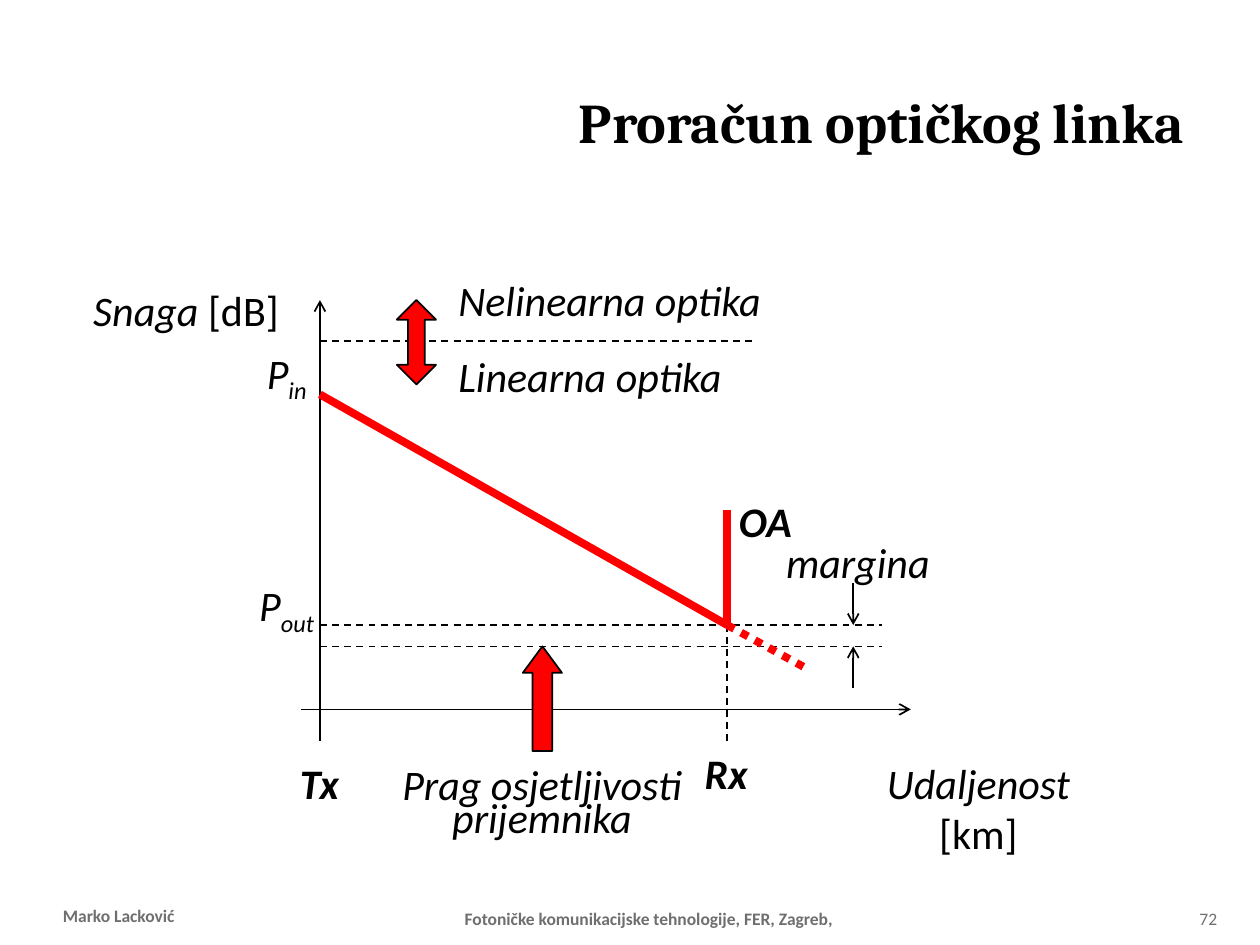
from dataclasses import dataclass

from lxml import etree
from pptx import Presentation
from pptx.dml.color import RGBColor
from pptx.enum import dml, shapes, text
from pptx.oxml import ns
from pptx.util import Cm, Pt


@dataclass(frozen=True)
class Theme:
    ink: RGBColor = RGBColor(0, 0, 0)
    signal: RGBColor = RGBColor(0xFF, 0, 0)
    muted: RGBColor = RGBColor(0x6F, 0x6F, 0x6F)
    heading: str = "Cambria"
    body: str = "Calibri"
    title_size: int = 32
    label_size: int = 24
    footer_size: int = 10
    thin: float = 1
    thick: float = 4.5


T = Theme()
LEFT, CENTER, RIGHT = (text.PP_ALIGN.LEFT, text.PP_ALIGN.CENTER,
                       text.PP_ALIGN.RIGHT)
DASH, DOT = dml.MSO_LINE.DASH, dml.MSO_LINE.ROUND_DOT
LABEL = dict(name=T.body, size=Pt(T.label_size), italic=True)
FOOTER = dict(name=T.body, size=Pt(T.footer_size))


def style(font, color, formats):
    for key, value in formats.items():
        setattr(font, key, value)
    font.color.rgb = color


def add_run(p, content, color, formats):
    r = p.add_run()
    r.text = content
    style(r.font, color, formats)
    return r


def add_box(s, left, top, width, height, anchor=text.MSO_ANCHOR.TOP):
    tf = s.shapes.add_textbox(Cm(left), Cm(top), Cm(width), Cm(height)).text_frame
    tf.word_wrap = True
    tf.vertical_anchor = anchor
    return tf


def add_line(s, start, end, color=T.ink, width=T.thin, dash=None, arrow=False):
    line = s.shapes.add_connector(shapes.MSO_CONNECTOR.STRAIGHT,
                                  *(Cm(v) for v in (*start, *end)))
    line.line.color.rgb = color
    line.line.width = Pt(width)
    if dash:
        line.line.dash_style = dash
    if arrow:
        etree.SubElement(line.line._get_or_add_ln(), ns.qn("a:tailEnd"), type="arrow")
    etree.SubElement(line._element.spPr, ns.qn("a:effectLst"))


def add_block_arrow(s, kind, left, top, height, head):
    sp = s.shapes.add_shape(kind, Cm(left), Cm(top), Cm(0.79), Cm(height))
    sp.shadow.inherit = False
    sp.adjustments[0], sp.adjustments[1] = 0.5, head
    sp.fill.solid()
    sp.fill.fore_color.rgb = T.signal
    sp.line.color.rgb = T.ink
    sp.line.width = Pt(T.thin)


def add_title(s, left, top, width, height):
    title = s.shapes.title
    for key, value in dict(left=left, top=top, width=width, height=height).items():
        setattr(title, key, Cm(value))
    tf = title.text_frame
    tf.vertical_anchor = text.MSO_ANCHOR.MIDDLE
    p = tf.paragraphs[0]
    p.alignment = RIGHT
    add_run(p, "Proračun optičkog linka", T.ink,
            dict(name=T.heading, size=Pt(T.title_size), bold=True))


def add_footer(s, left, top, width, height):
    parts = [
        ("Fotoničke komunikacijske tehnologije, FER, Zagreb, ", 2.74, 0.05, 18.21, CENTER, True),
        ("Marko Lacković", 0, 0, 2.97, LEFT, True),
        ("72", width - 1.27, 0.05, 1.27, LEFT, False),
    ]
    for content, dx, dy, w, align, bold in parts:
        tf = add_box(s, left + dx, top + dy, w, height, text.MSO_ANCHOR.BOTTOM)
        if dx == 0:
            tf.margin_left = 0
        p = tf.paragraphs[0]
        p.alignment = align
        add_run(p, content, T.muted, dict(FOOTER, bold=bold))


def add_power_budget(s, left, top):
    """Power against distance, from transmitter (Tx) to receiver (Rx)."""
    tx, rx, margin_x, level_end = 5.05, 13.26, 15.8, 16.38
    p_in, p_out, threshold, nonlinear = 2.55, 7.2, 7.63, 1.48
    axis_top, axis_y, axis_bottom = 0.65, 8.9, 9.54

    def at(x, y):
        return left + x, top + y

    def label(x, y, w, h, *runs, align=CENTER, spacing=None):
        tf = add_box(s, *at(x, y), w, h)
        p = tf.paragraphs[0]
        p.alignment = align
        if spacing:
            p.line_spacing = spacing
        for content, formats in runs:
            add_run(p, content, T.ink, dict(LABEL, **formats))
        return tf

    lines = [
        ((tx, axis_bottom), (tx, axis_top), dict(arrow=True)),
        ((4.67, axis_y), (16.96, axis_y), dict(arrow=True)),
        ((tx, p_out), (level_end, p_out), dict(dash=DASH)),
        ((tx, threshold), (level_end, threshold), dict(dash=DASH)),
        ((rx, p_out), (rx, axis_bottom), dict(dash=DASH)),
        ((tx, nonlinear), (13.84, nonlinear), dict(dash=DASH)),
        ((margin_x, p_out - 0.84), (margin_x, p_out), dict(arrow=True)),
        ((margin_x, threshold + 0.84), (margin_x, threshold), dict(arrow=True)),
    ]
    signal = dict(color=T.signal, width=T.thick)
    lines += [
        ((tx, p_in), (rx, p_out), signal),
        ((rx, p_out), (rx, 4.89), signal),
        ((rx, p_out), (14.83, 8.06), dict(signal, dash=DOT)),
    ]
    for start, end, formats in lines:
        add_line(s, at(*start), at(*end), **formats)

    add_block_arrow(s, shapes.MSO_SHAPE.UP_DOWN_ARROW, *at(6.6, axis_top), 1.7, 0.432)
    add_block_arrow(s, shapes.MSO_SHAPE.UP_ARROW, *at(9.14, threshold), 2.11, 0.678)

    label(0, 0.21, 4.7, 2.29, ("Snaga ", {}), ("[dB]", dict(italic=False)))
    label(15.39, 9.74, 5.87, 2.29, ("Udaljenost ", {}), ("[km]", dict(italic=False)))
    label(14.04, 5.29, 3.71, 2.29, ("margina", {}))
    label(6.07, 10.09, 6.91, 1.57, ("Prag osjetljivosti prijemnika", {}), spacing=0.65)
    for content, x, y, w in (("Tx", 4.06, 9.74, 1.96), ("Rx", 11.68, 9.54, 3.12),
                             ("OA", 12.47, 4.46, 3.12)):
        label(x, y, w, 1.27, (content, dict(bold=True)))
    for subscript, y in (("in", 1.48), ("out", 6.16)):
        tf = label(3.3, y, 2.16, 1.42, ("P", {}), (subscript, {}))
        tf.paragraphs[0].runs[1].font._element.set("baseline", "-25000")

    regimes = label(7.59, 0, 7.24, 3.84, ("Nelinearna optika", {}), align=LEFT)
    p = regimes.add_paragraph()
    p.space_before = Pt(15)
    add_run(p, "Linearna optika", T.ink, LABEL)


def main():
    prs = Presentation()
    prs.slide_width, prs.slide_height = Cm(25.4), Cm(19.05)
    s = prs.slides.add_slide(prs.slide_layouts[5])
    add_title(s, 1.27, 0.64, 22.86, 3.6)
    add_power_budget(s, 1.4, 5.4)
    add_footer(s, 1.27, 17.78, 23.93, 1.02)
    prs.save("out.pptx")


if __name__ == "__main__":
    main()
